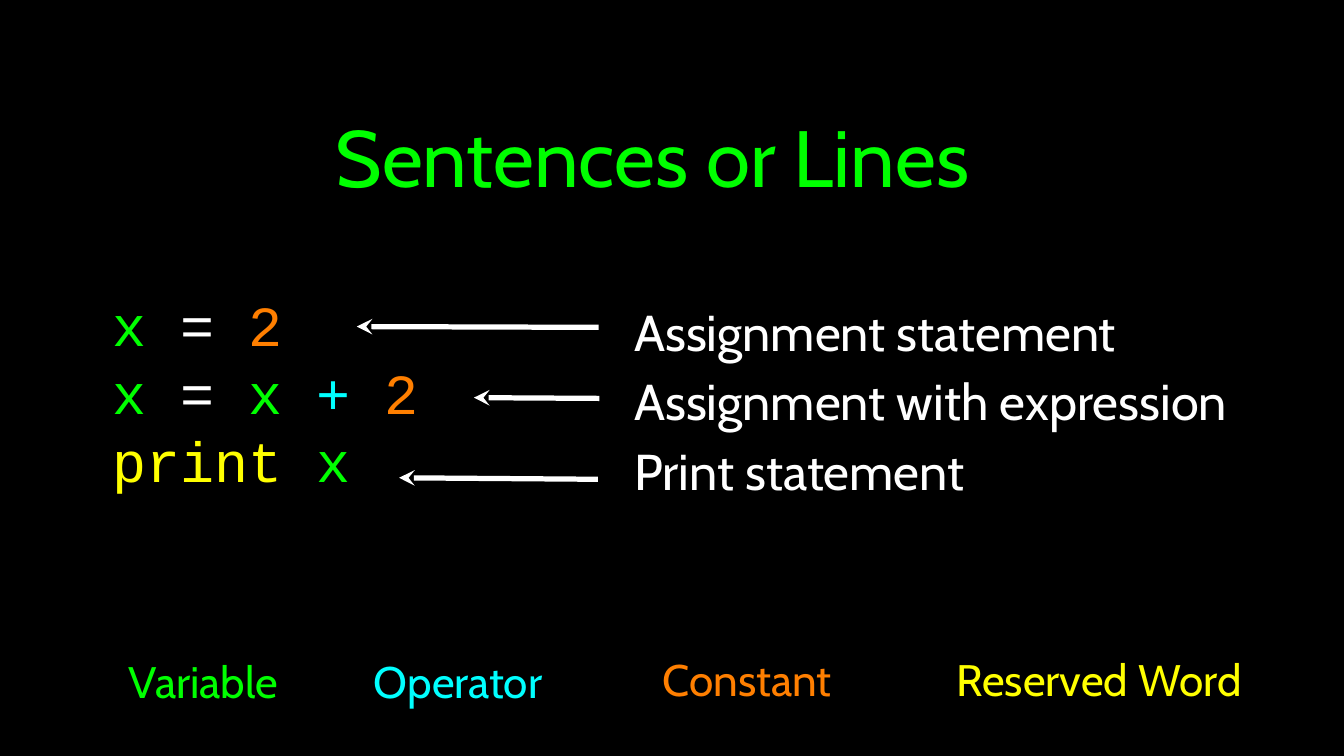
from lxml import etree
from pptx import Presentation
from pptx.dml.color import RGBColor
from pptx.enum import shapes, text
from pptx.oxml.ns import qn
from pptx.util import Inches, Pt

# Content: each word is coloured by its role
WHITE = "FFFFFF"
VARIABLE, OPERATOR, CONSTANT, RESERVED = "00FF00", "00FFFF", "FF7F00", "FFFF00"

TITLE = "Sentences or Lines"
CODE = [
    [("x ", VARIABLE), ("=", WHITE), (" 2", CONSTANT)],
    [("x ", VARIABLE), ("= ", WHITE), ("x ", VARIABLE), ("+", OPERATOR), (" 2", CONSTANT)],
    [("print ", RESERVED), ("x", VARIABLE)],
]
MEANINGS = ["Assignment statement", "Assignment with expression", "Print statement"]
LEGEND = [  # word, colour, left, top, width
    ("Variable", VARIABLE, 1.49, 8.61, 2.4),
    ("Operator", OPERATOR, 4.86, 8.61, 2.4),
    ("Constant", CONSTANT, 8.73, 8.58, 2.31),
    ("Reserved Word", RESERVED, 12.63, 8.58, 3.82),
]
ARROWS = [  # tip at the code, tail at the meaning
    ((4.72, 4.32), (7.92, 4.33)),
    ((6.27, 5.26), (7.93, 5.27)),
    ((5.28, 6.32), (7.91, 6.34)),
]


def color(hex_string):
    return RGBColor.from_string(hex_string)


def add_text(box, lines, size, font="Cabin", align=text.PP_ALIGN.CENTER, spacing=None, inset=0):
    """Write lines of (words, colour) runs in a vertically centred box."""
    frame = slide.shapes.add_textbox(*map(Inches, box)).text_frame
    frame.word_wrap = True
    frame.vertical_anchor = text.MSO_ANCHOR.MIDDLE
    frame.margin_left = frame.margin_right = Inches(inset)
    frame.margin_top = frame.margin_bottom = Inches(inset)
    for number, line in enumerate(lines):
        paragraph = frame.add_paragraph() if number else frame.paragraphs[0]
        paragraph.alignment = align
        paragraph.line_spacing = spacing
        paragraph.font.name, paragraph.font.size = font, Pt(size)
        for words, hue in line:
            run = paragraph.add_run()
            run.text = words
            run.font.color.rgb = color(hue)


def add_arrow(tip, tail):
    arrow = slide.shapes.add_connector(
        shapes.MSO_CONNECTOR.STRAIGHT, *map(Inches, tip + tail))
    arrow.line.color.rgb = color(WHITE)
    arrow.line.width = Pt(5)
    etree.SubElement(arrow.line._get_or_add_ln(), qn("a:headEnd"), type="stealth")
    etree.SubElement(arrow._element.spPr, qn("a:effectLst"))


presentation = Presentation()
presentation.slide_width, presentation.slide_height = Inches(17.78), Inches(10)
slide = presentation.slides.add_slide(presentation.slide_layouts[6])
slide.background.fill.solid()
slide.background.fill.fore_color.rgb = color("000000")

# Title
add_text((1.01, 0.37, 15.24, 3.37), [[(TITLE, VARIABLE)]], 76, inset=0.04)

# Code lines
add_text((1.49, 2.97, 4.78, 4.42), CODE, 54, "Courier New", text.PP_ALIGN.LEFT)

# Colour legend
for word, hue, left, top, width in LEGEND:
    add_text((left, top, width, 0.79), [[(word, hue)]], 42)

# Meanings, each with an arrow to its code line
add_text((8.39, 3.03, 8.65, 4.42), [[(meaning, WHITE)] for meaning in MEANINGS],
         48, align=text.PP_ALIGN.LEFT, spacing=1.15)
for tip, tail in ARROWS:
    add_arrow(tip, tail)

presentation.save("out.pptx")
